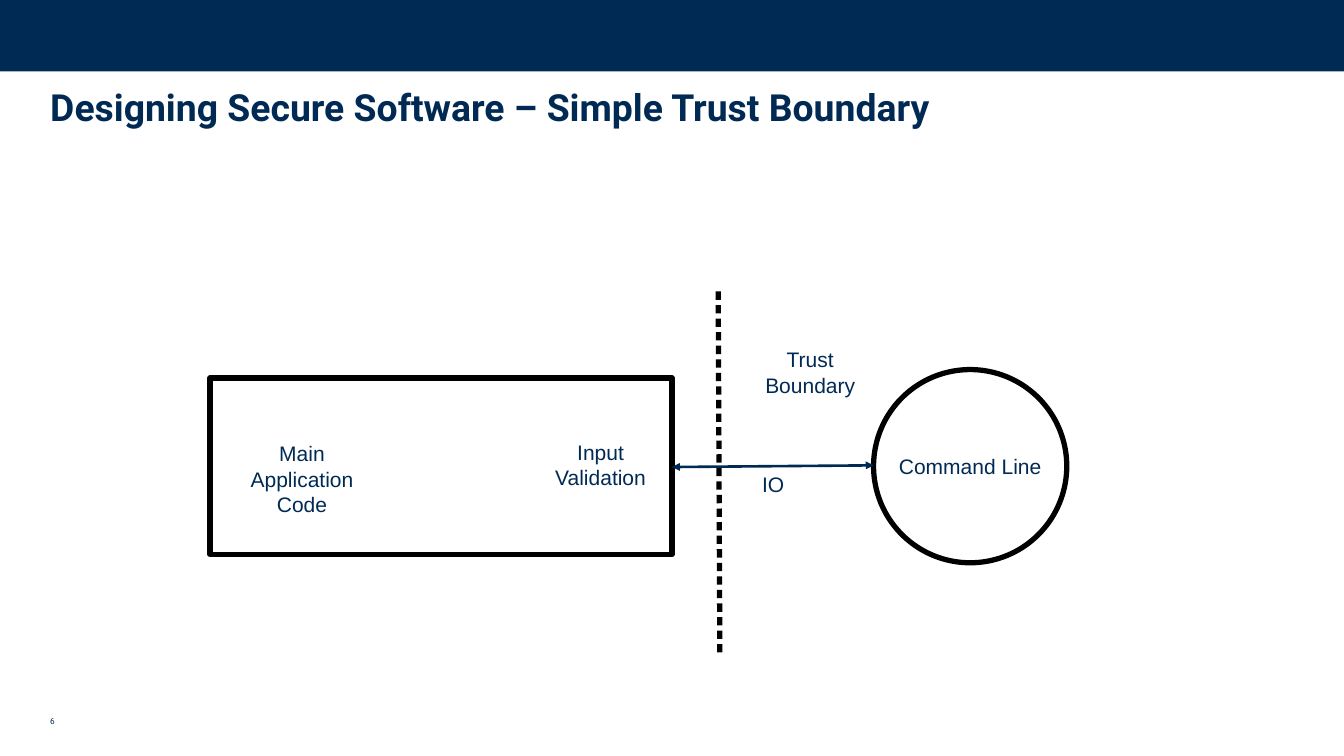
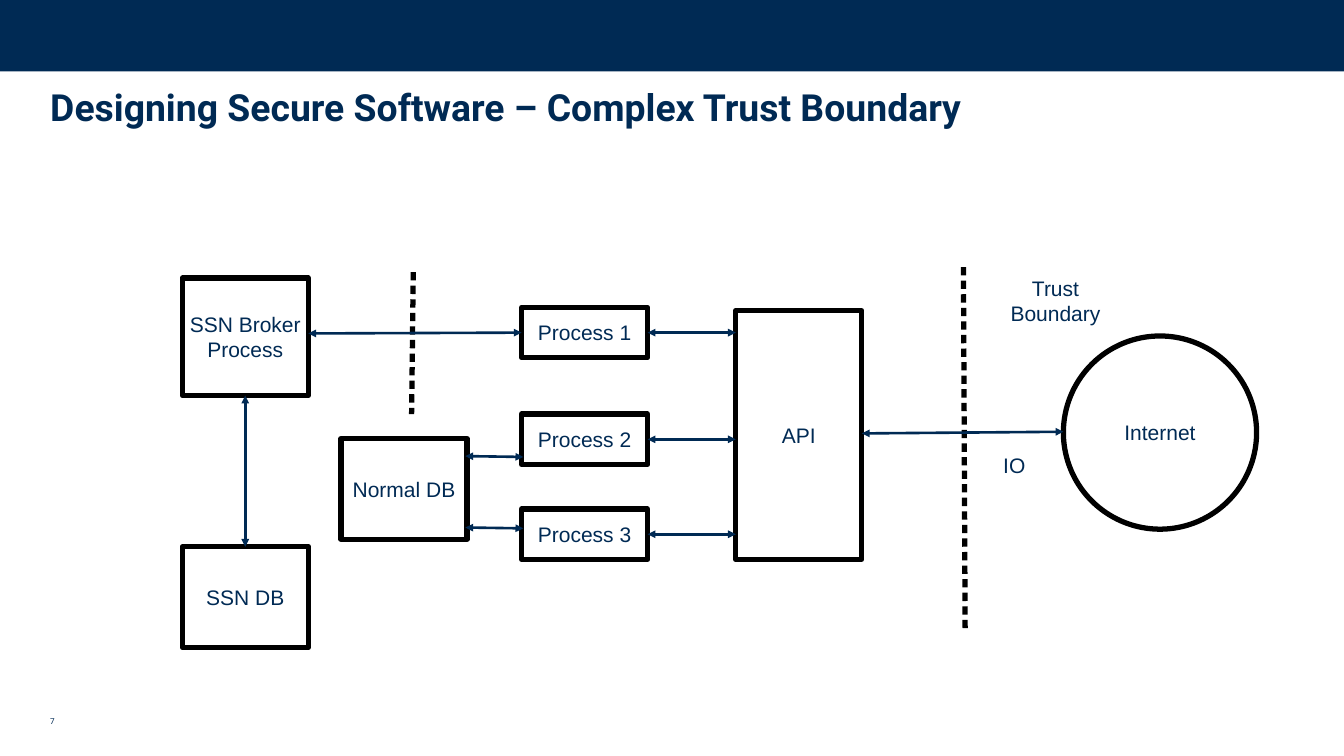
from pptx import Presentation
from pptx.dml.color import RGBColor
from pptx.enum.shapes import MSO_CONNECTOR, MSO_SHAPE
from pptx.enum.text import MSO_ANCHOR, PP_ALIGN
from pptx.oxml.ns import qn
from pptx.util import Inches, Pt
from lxml.etree import SubElement

NAVY, BLACK, WHITE = "002A54", "000000", "FFFFFF"
WIDE, TALL = 16, 9
THICK, THIN = 4.5, 2.25


def paint(part, color):
    """Give a fill or a font a solid colour from a hex string."""
    if hasattr(part, "solid"):
        part.solid()
        part = part.fore_color
    else:
        part = part.color
    part.rgb = RGBColor.from_string(color)


def write(frame, text, size=18, font="Arial", bold=False, align=PP_ALIGN.CENTER,
          anchor=MSO_ANCHOR.TOP, wrap=False, pad=(0.1, 0.05)):
    """Fill a text frame, one paragraph for each line of text."""
    frame.word_wrap = wrap
    frame.vertical_anchor = anchor
    frame.margin_left = frame.margin_right = Inches(pad[0])
    frame.margin_top = frame.margin_bottom = Inches(pad[1])
    for i, line in enumerate(text.split("\n")):
        para = frame.add_paragraph() if i else frame.paragraphs[0]
        para.alignment = align
        run = para.add_run()
        run.text = line
        run.font.size, run.font.name, run.font.bold = Pt(size), font, bold
        paint(run.font, NAVY)


def label(slide, box, text, **style):
    """Place a text box."""
    area = slide.shapes.add_textbox(*map(Inches, box))
    write(area.text_frame, text, **style)


def node(slide, box, text="", kind=MSO_SHAPE.RECTANGLE):
    """Draw a white shape with a thick black outline and centred text."""
    shape = slide.shapes.add_shape(kind, *map(Inches, box))
    shape.shadow.inherit = False
    paint(shape.fill, WHITE)
    paint(shape.line.fill, BLACK)
    shape.line.width = Pt(THICK)
    SubElement(shape.line._get_or_add_ln(), qn("a:round"))
    if text:
        write(shape.text_frame, text, anchor=MSO_ANCHOR.MIDDLE, pad=(0.13, 0.08))


def stroke(slide, ends, color, width):
    """Draw a straight line and return its line element."""
    line = slide.shapes.add_connector(MSO_CONNECTOR.STRAIGHT, *map(Inches, ends))
    paint(line.line.fill, color)
    line.line.width = Pt(width)
    SubElement(line._element.spPr, qn("a:effectLst"))
    return line.line._get_or_add_ln()


def link(slide, *ends):
    """Draw an arrow with a head at both ends."""
    line = stroke(slide, ends, NAVY, THIN)
    for tag in ("a:headEnd", "a:tailEnd"):
        SubElement(line, qn(tag), type="triangle")


def wall(slide, *ends):
    """Draw a dashed boundary."""
    line = stroke(slide, ends, BLACK, THICK)
    dash = SubElement(line, qn("a:custDash"))
    SubElement(dash, qn("a:ds"), d="158000", sp="100000")


def gate(slide, x, y, text, near, mid, tag, note):
    """Draw the outer boundary, the outside party and the link across."""
    far = near + 2.4
    node(slide, (x + far, y + mid - 1.15, 2.3, 2.3), text, MSO_SHAPE.OVAL)
    wall(slide, x, y, x + 0.02, y + 4.32)
    link(slide, x + near, y + mid + 0.01, x + far, y + mid - 0.01)
    label(slide, (x + 0.15, y + tag, 1.89, 0.43), "Trust Boundary")
    label(slide, (x + note[0], y + note[1], 0.61, 0.43), "IO")


def simple(slide, x, y):
    """Draw one application and its command line."""
    node(slide, (x, y + 1.03, 5.5, 2.1))
    label(slide, (x + 3.75, y + 1.71, 1.8, 0.66), "Input\nValidation")
    label(slide, (x + 0.32, y + 1.73, 1.55, 0.94), "Main Application\nCode")
    gate(slide, x + 6.05, y, "Command Line", -0.55, 2.08, 0.61, (0.35, 2.09))


def complex_map(slide, x, y):
    """Draw the processes, stores and API behind two boundaries."""
    blocks = (("API", 6.59, 0.52, 2.96), ("SSN DB", 0, 3.33, 1.2),
              ("Normal DB", 1.89, 2.04, 1.2), ("SSN Broker\nProcess", 0, 0.13, 1.4))
    for text, left, top, high in blocks:
        node(slide, (x + left, y + top, 1.5, high), text)
    for i, top in enumerate((0.48, 1.75, 2.88), 1):
        node(slide, (x + 4.04, y + top, 1.5, 0.6), f"Process {i}")
        link(slide, x + 5.54, y + top + 0.3, x + 6.59, y + top + 0.3)
    wall(slide, x + 2.75, y + 0.06, x + 2.73, y + 1.75)
    link(slide, x + 1.5, y + 0.79, x + 4.04, y + 0.78)
    link(slide, x + 0.75, y + 1.53, x + 0.75, y + 3.33)
    for mid in (2.25, 3.1):
        link(slide, x + 3.37, y + mid, x + 4.06, y + mid + 0.01)
    gate(slide, x + 9.3, y, "Internet", -1.21, 1.97, 0.05, (0.3, 2.16))


def page(deck, title, number):
    """Add a slide with its band, title and number."""
    slide = deck.slides.add_slide(deck.slide_layouts[6])
    band = slide.shapes.add_shape(MSO_SHAPE.RECTANGLE, 0, 0, Inches(WIDE), Inches(0.85))
    band.shadow.inherit = False
    paint(band.fill, NAVY)
    band.line.fill.background()
    style = dict(font="Roboto", align=PP_ALIGN.LEFT, wrap=True)
    label(slide, (0.5, 8.48, 1.93, 0.22), str(number), size=7, **style)
    label(slide, (0.5, 1, 15, 1.03), f"Designing Secure Software – {title} Trust Boundary",
          size=32, bold=True, pad=(0.1, 0), **style)
    return slide


deck = Presentation()
deck.slide_width, deck.slide_height = Inches(WIDE), Inches(TALL)
simple(page(deck, "Simple", 6), 2.5, 3.47)
complex_map(page(deck, "Complex", 7), 2.17, 3.18)
deck.save("out.pptx")
